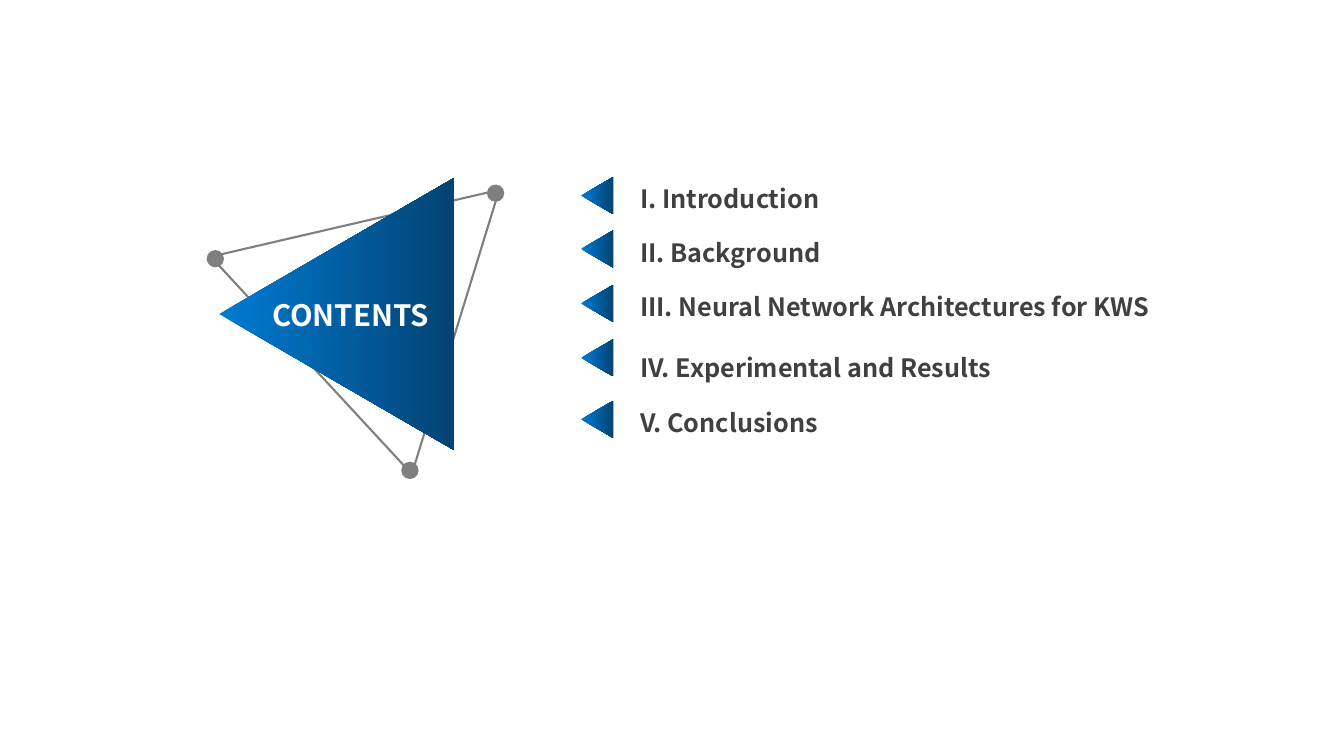
from pptx import Presentation
from pptx.dml.color import RGBColor
from pptx.enum.shapes import MSO_SHAPE as Shape
from pptx.enum.text import MSO_ANCHOR as Anchor, MSO_AUTO_SIZE as AutoSize, PP_ALIGN as Align
from pptx.oxml.ns import qn
from pptx.util import Pt
from lxml.etree import SubElement

COLORS = {"light": "007BD3", "dark": "034373", "gray": "7F7F7F", "text": "404040", "white": "FFFFFF"}
FONT = "Noto Sans CJK SC"
TOPICS = [
    ("I. Introduction", 0, 128.2),
    ("II. Background", 14.2, 166.3),
    ("III. Neural Network Architectures for KWS", 14.9, 205.2),
    ("IV. Experimental and Results", 19.2, 244.1),
    ("V. Conclusions", 15.6, 288),
]
DOTS = [(147.6, 178.6), (286.6, 329.8), (347.8, 131.8)]
DOT_SIZE = 12.4


def color(name):
    return RGBColor.from_string(COLORS[name])


def assign(target, values):
    for name, value in values.items():
        setattr(target, name, value)


class ContentsPage:
    """Draws styled elements on one page, with lengths in points."""

    def __init__(self, deck):
        self.page = deck.slides.add_slide(deck.slide_layouts[1])

    def shape(self, parent, kind, box, rotation=0):
        item = parent.shapes.add_shape(kind, *map(Pt, box))
        item.shadow.inherit = False
        item.rotation = rotation
        return item

    def outline(self, parent, box, rotation):
        item = self.shape(parent, Shape.ISOSCELES_TRIANGLE, box, rotation)
        item.fill.background()
        item.line.color.rgb = color("gray")
        item.line.width = Pt(1.5)

    def arrow(self, parent, box):
        item = self.shape(parent, Shape.ISOSCELES_TRIANGLE, box, 270)
        item.line.fill.background()
        item.fill.gradient()
        item.fill.gradient_angle = 270
        for stop, name in zip(item.fill.gradient_stops, ("light", "dark")):
            stop.color.rgb = color(name)

    def dot(self, parent, left, top):
        item = self.shape(parent, Shape.OVAL, (left, top, DOT_SIZE, DOT_SIZE))
        item.fill.solid()
        item.fill.fore_color.rgb = color("gray")
        item.line.fill.background()

    def text(self, holder, box, lines, size, pitch, ink):
        assign(holder, dict(zip(("left", "top", "width", "height"), map(Pt, box))))
        frame = holder.text_frame
        assign(frame, {
            "word_wrap": True, "auto_size": AutoSize.NONE, "vertical_anchor": Anchor.TOP,
            "margin_left": Pt(7.2), "margin_right": Pt(7.2),
            "margin_top": Pt(3.6), "margin_bottom": Pt(3.6),
        })
        for index, (words, gap) in enumerate(lines):
            para = frame.add_paragraph() if index else frame.paragraphs[0]
            assign(para, {"alignment": Align.LEFT, "line_spacing": Pt(pitch),
                          "space_before": Pt(gap), "space_after": Pt(0)})
            layout = para._p.get_or_add_pPr()
            assign_indent = {"marL": "0", "indent": "0"}
            for name, value in assign_indent.items():
                layout.set(name, value)
            SubElement(layout, qn("a:buNone"))
            span = para.add_run()
            span.text = words
            assign(span.font, {"name": FONT, "size": Pt(size), "bold": True})
            span.font.color.rgb = color(ink)
            SubElement(span.font._element, qn("a:ea")).set("typeface", FONT)


def main():
    deck = Presentation()
    assign(deck, {"slide_width": Pt(960), "slide_height": Pt(540)})
    contents = ContentsPage(deck)
    page = contents.page
    title, body = page.placeholders

    emblem = page.shapes.add_group_shape()
    contents.outline(emblem, (131.8, 118.8, 212.4, 182.9), 287.1)
    contents.arrow(emblem, (143.3, 140.4, 194.4, 167.8))
    for left, top in DOTS:
        contents.dot(emblem, left, top)

    contents.text(title, (187.2, 208, 136.8, 34), [("CONTENTS", 0)], 21, 26, "white")
    page.shapes.element.append(title.element)

    for _, _, top in TOPICS:
        contents.arrow(page, (413.3, top, 26.6, 23))
    lines = [(words, gap) for words, gap, _ in TOPICS]
    contents.text(body, (450, 125, 427, 192), lines, 18, 24, "text")

    deck.save("out.pptx")


if __name__ == "__main__":
    main()
